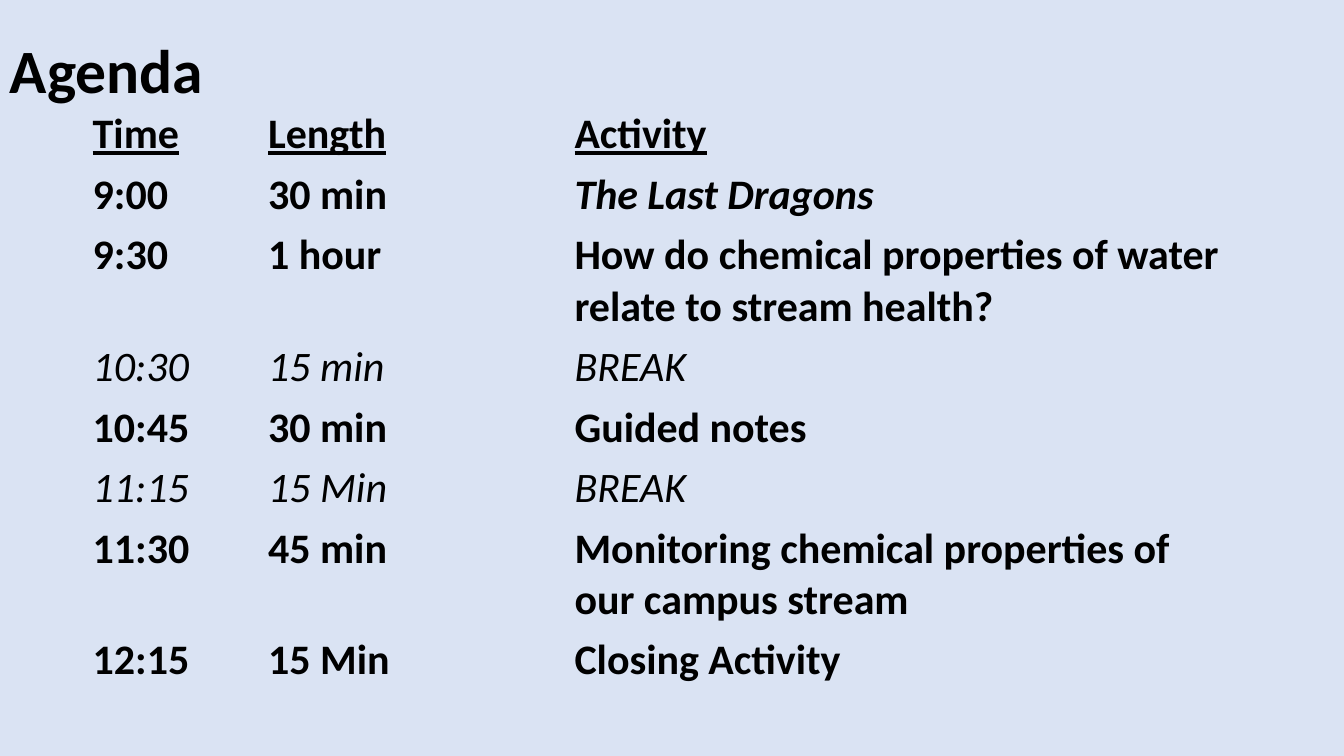
from dataclasses import dataclass

from pptx import Presentation
from pptx.dml.color import RGBColor
from pptx.enum.text import MSO_ANCHOR
from pptx.util import Pt


@dataclass(frozen=True)
class Theme:
    background: RGBColor = RGBColor(0xDA, 0xE3, 0xF3)
    ink: RGBColor = RGBColor(0, 0, 0)
    font: str = "Calibri"
    title_size: int = 44
    table_size: int = 30


@dataclass(frozen=True)
class Box:
    left: float
    top: float
    width: float
    height: float

    def lengths(self):
        return Pt(self.left), Pt(self.top), Pt(self.width), Pt(self.height)


THEME = Theme()
NO_GRID_STYLE = "{2D5ABB26-0587-4C30-8999-92F81FD0307C}"
COLUMN_WIDTHS = (125.28, 218.88, 484.56)
ONE_LINE, TWO_LINES = 43, 79.8

HEADING = {"bold": True, "underline": True}
SESSION = {"bold": True}
FILM = {"bold": True, "italic": True}
PAUSE = {"bold": False, "italic": True}

AGENDA = [
    (("Time", "Length", "Activity"), HEADING, HEADING, ONE_LINE),
    (("9:00", "30 min", "The Last Dragons"), SESSION, FILM, ONE_LINE),
    (("9:30", "1 hour", "How do chemical properties of water relate to stream health?"),
     SESSION, SESSION, TWO_LINES),
    (("10:30", "15 min", "BREAK"), PAUSE, PAUSE, ONE_LINE),
    (("10:45", "30 min", "Guided notes"), SESSION, SESSION, ONE_LINE),
    (("11:15", "15 Min", "BREAK"), PAUSE, PAUSE, ONE_LINE),
    (("11:30", "45 min", "Monitoring chemical properties of our campus stream"),
     SESSION, SESSION, TWO_LINES),
    (("12:15", "15 Min", "Closing Activity"), SESSION, SESSION, ONE_LINE),
]


def add_span(para, text, size, bold=False, italic=False, underline=False):
    span = para.add_run()
    span.text = text
    font = span.font
    font.name, font.size = THEME.font, Pt(size)
    font.bold, font.italic, font.underline = bold, italic, underline
    font.color.rgb = THEME.ink


def add_title(page, box, text):
    frame = page.shapes.add_textbox(*box.lengths()).text_frame
    frame.word_wrap = True
    frame.vertical_anchor = MSO_ANCHOR.MIDDLE
    para = frame.paragraphs[0]
    para.line_spacing = 0.9
    add_span(para, text, THEME.title_size, bold=True)


def add_agenda(page, box):
    holder = page.shapes.add_table(len(AGENDA), len(COLUMN_WIDTHS), *box.lengths())
    table = holder.table
    table.first_row = table.horz_banding = False
    holder._element.xpath(".//a:tableStyleId")[0].text = NO_GRID_STYLE
    for column, width in zip(table.columns, COLUMN_WIDTHS):
        column.width = Pt(width)
    for row, (texts, timing, activity, height) in zip(table.rows, AGENDA):
        row.height = Pt(height)
        for cell, text, style in zip(row.cells, texts, (timing, timing, activity)):
            cell.fill.background()
            add_span(cell.text_frame.paragraphs[0], text, THEME.table_size, **style)


def add_agenda_page(deck):
    page = deck.slides.add_slide(deck.slide_layouts[6])
    page.background.fill.solid()
    page.background.fill.fore_color.rgb = THEME.background
    add_title(page, Box(0, 0, 828, 104.4), "Agenda")
    add_agenda(page, Box(59.04, 74.16, sum(COLUMN_WIDTHS), 417.6))


def main():
    deck = Presentation()
    deck.slide_width, deck.slide_height = Pt(960), Pt(540)
    add_agenda_page(deck)
    deck.save("out.pptx")


if __name__ == "__main__":
    main()
